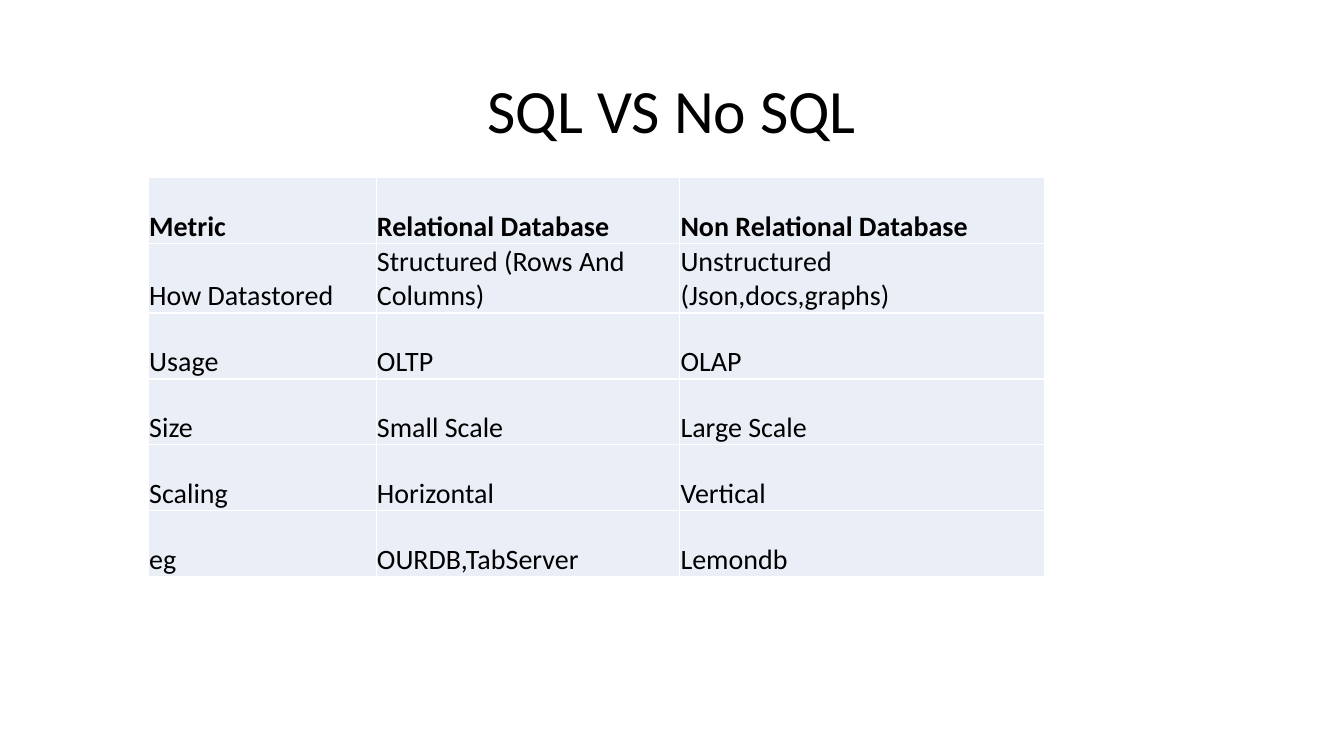
from lxml import etree
from pptx import Presentation
from pptx import util as u
from pptx.dml import color
from pptx.enum import text
from pptx.oxml import ns

COLOURS = {"ink": "000000", "cell": "EAEFF7", "border": "FFFFFF"}
FONT = "Calibri"
COMPARISON = [
    ("Metric", "Relational Database", "Non Relational Database"),
    ("How Datastored", "Structured (Rows And Columns)", "Unstructured (Json,docs,graphs)"),
    ("Usage", "OLTP", "OLAP"),
    ("Size", "Small Scale", "Large Scale"),
    ("Scaling", "Horizontal", "Vertical"),
    ("eg", "OURDB,TabServer", "Lemondb"),
]
METRIC_WIDTHS = (5.74, 7.65, 9.19)


def rgb(name):
    """Return the named colour."""
    return color.RGBColor.from_string(COLOURS[name])


def write(frame, words, size=20, bold=False, align=text.PP_ALIGN.LEFT, spacing=1.0):
    """Put formatted words into a text frame."""
    paragraph = frame.paragraphs[0]
    paragraph.alignment = align
    paragraph.line_spacing = spacing
    run = paragraph.add_run()
    run.text = words
    run.font.name = FONT
    run.font.size = u.Pt(size)
    run.font.bold = bold
    run.font.color.rgb = rgb("ink")


def add_borders(cell, width=1):
    """Draw a solid border on every side of a cell."""
    properties = cell._tc.get_or_add_tcPr()
    for side in ("a:lnL", "a:lnR", "a:lnT", "a:lnB"):
        line = etree.SubElement(properties, ns.qn(side), w=str(u.Pt(width)))
        solid = etree.SubElement(line, ns.qn("a:solidFill"))
        etree.SubElement(solid, ns.qn("a:srgbClr"), val=COLOURS["border"])


def place_title(slide, left, top, width, height):
    """Fit the slide title into its box."""
    heading = slide.shapes.title
    heading.left, heading.top = u.Cm(left), u.Cm(top)
    heading.width, heading.height = u.Cm(width), u.Cm(height)
    heading.text_frame.vertical_anchor = text.MSO_ANCHOR.MIDDLE
    write(heading.text_frame, "SQL VS No SQL", size=44,
          align=text.PP_ALIGN.CENTER, spacing=0.9)


def place_comparison(slide, left, top, width, height):
    """Build the comparison table in its box."""
    comparison = slide.shapes.add_table(
        len(COMPARISON), len(METRIC_WIDTHS),
        u.Cm(left), u.Cm(top), u.Cm(width), u.Cm(height)).table
    for column, share in zip(comparison.columns, METRIC_WIDTHS):
        column.width = u.Cm(width * share / sum(METRIC_WIDTHS))
    for r, entries in enumerate(COMPARISON):
        comparison.rows[r].height = u.Cm(height / len(COMPARISON))
        for c, words in enumerate(entries):
            cell = comparison.cell(r, c)
            cell.margin_left = cell.margin_right = cell.margin_top = u.Cm(0.02)
            cell.margin_bottom = 0
            cell.vertical_anchor = text.MSO_ANCHOR.BOTTOM
            add_borders(cell)
            cell.fill.solid()
            cell.fill.fore_color.rgb = rgb("cell")
            write(cell.text_frame, words, bold=r == 0)


def main():
    """Build and save the slide."""
    deck = Presentation()
    deck.slide_width, deck.slide_height = u.Cm(33.87), u.Cm(19.05)
    slide = deck.slides.add_slide(deck.slide_layouts[5])
    place_title(slide, 2.33, 1.01, 29.21, 3.68)
    place_comparison(slide, 3.74, 4.48, 22.58, 9.96)
    deck.save("out.pptx")


if __name__ == "__main__":
    main()
